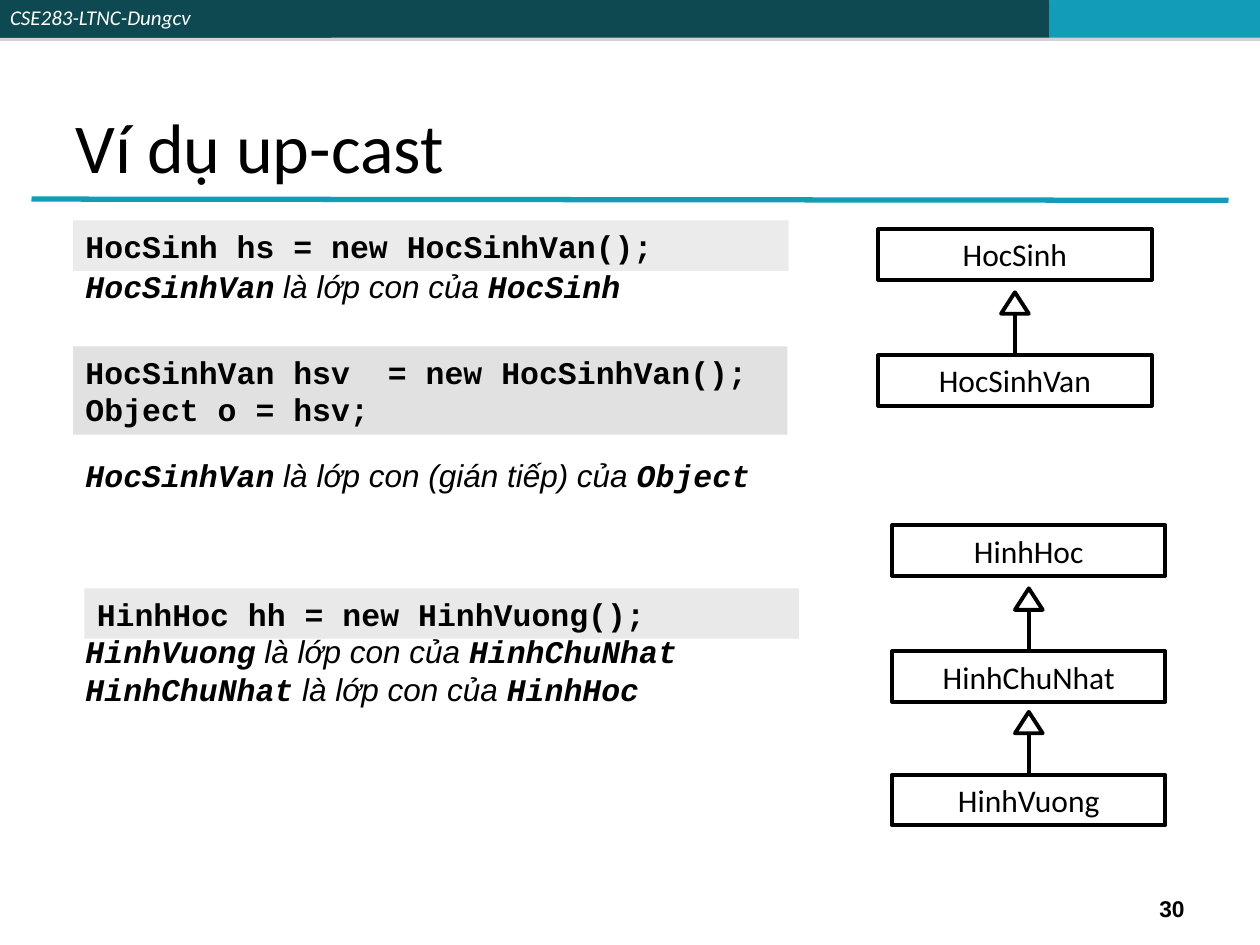
"""Build the up-cast example slide with code samples and class hierarchies."""
from dataclasses import dataclass
from typing import Optional

from lxml.etree import SubElement
from pptx import Presentation
from pptx.dml.color import RGBColor
from pptx.enum.shapes import MSO_CONNECTOR as Connector, MSO_SHAPE as Shape
from pptx.enum.text import MSO_ANCHOR as Anchor, MSO_AUTO_SIZE as AutoSize, PP_ALIGN as Align
from pptx.oxml.ns import qn
from pptx.util import Inches, Pt

BLACK = RGBColor(0x00, 0x00, 0x00)
WHITE = RGBColor(0xFF, 0xFF, 0xFF)
DARK_TEAL = RGBColor(0x0E, 0x48, 0x51)
TEAL = RGBColor(0x13, 0x9C, 0xB7)
GRAY = RGBColor(0xB2, 0xB2, 0xB2)
CODE_FONT, NOTE_FONT, LABEL_FONT = "Courier New", "Arial", "Calibri"
BAR_HEIGHT = 0.3
CLASS_WIDTH, CLASS_HEIGHT = 2.17, 0.4
TIP_WIDTH, TIP_HEIGHT, TIP_RISE = 0.22, 0.17, 0.5


@dataclass(frozen=True)
class Style:
    font: str
    size: float = 18
    color: RGBColor = BLACK
    bold: bool = False
    italic: bool = False


@dataclass(frozen=True)
class CodeBlock:
    left: float
    top: float
    width: float
    height: float
    opacity: int
    lines: tuple[str, ...]


@dataclass(frozen=True)
class Note:
    top: float
    height: float
    sentences: tuple[tuple[str, str, str], ...]


@dataclass(frozen=True)
class Hierarchy:
    left: float
    classes: tuple[tuple[str, float], ...]


CODE = Style(CODE_FONT, bold=True)
CLASS_NAME = Style(CODE_FONT, bold=True, italic=True)
RELATION = Style(NOTE_FONT, italic=True)
CLASS_LABEL = Style(LABEL_FONT)

CODE_BLOCKS = (
    CodeBlock(0.58, 1.75, 5.68, 0.4, 25, ("HocSinh hs = new HocSinhVan();",)),
    CodeBlock(0.58, 2.75, 5.67, 0.7, 38,
              ("HocSinhVan hsv  = new HocSinhVan();", "Object o = hsv;")),
    CodeBlock(0.67, 4.67, 5.67, 0.4, 28, ("HinhHoc hh = new HinhVuong();",)),
)
NOTES = (
    Note(3.57, 0.4, (("HocSinhVan", " là lớp con (gián tiếp) của ", "Object"),)),
    Note(2.07, 0.4, (("HocSinhVan", " là lớp con của ", "HocSinh"),)),
    Note(4.97, 0.7, (("HinhVuong", " là lớp con của ", "HinhChuNhat"),
                     ("HinhChuNhat", " là lớp con của ", "HinhHoc"))),
)
HIERARCHIES = (
    Hierarchy(6.97, (("HocSinh", 1.82), ("HocSinhVan", 2.82))),
    Hierarchy(7.08, (("HinhHoc", 4.17), ("HinhChuNhat", 5.17), ("HinhVuong", 6.15))),
)


def add_run(paragraph, text: str, style: Style) -> None:
    run = paragraph.add_run()
    run.text = text
    font = run.font
    font.name, font.size = style.font, Pt(style.size)
    font.bold, font.italic = style.bold, style.italic
    font.color.rgb = style.color


def add_lines(paragraph, lines: tuple) -> None:
    for index, runs in enumerate(lines):
        if index:
            paragraph.add_line_break()
        for text, style in runs:
            add_run(paragraph, text, style)


def start_text(shape, align: Align = Align.LEFT, anchor: Anchor = Anchor.TOP,
               fit: AutoSize = AutoSize.SHAPE_TO_FIT_TEXT):
    frame = shape.text_frame
    frame.word_wrap, frame.auto_size, frame.vertical_anchor = True, fit, anchor
    paragraph = frame.paragraphs[0]
    paragraph.alignment = align
    return paragraph


def add_block(shapes, kind: Shape, left: float, top: float, width: float, height: float,
              fill: Optional[RGBColor] = None):
    block = shapes.add_shape(kind, Inches(left), Inches(top), Inches(width), Inches(height))
    block.shadow.inherit = False
    if fill is None:
        block.fill.background()
        block.line.color.rgb, block.line.width = BLACK, Pt(2.25)
    else:
        block.fill.solid()
        block.fill.fore_color.rgb = fill
        block.line.fill.background()
    return block


def add_line(shapes, start: tuple[float, float], end: tuple[float, float],
             color: RGBColor, width: float) -> None:
    line = shapes.add_connector(Connector.STRAIGHT, *map(Inches, start + end))
    line.line.color.rgb, line.line.width = color, Pt(width)
    SubElement(line._element.spPr, qn("a:effectLst"))


def add_shadow(block) -> None:
    effects = block._element.spPr.find(qn("a:effectLst"))
    shadow = SubElement(effects, qn("a:outerShdw"), dist=str(Pt(1.8)), dir="5400000")
    color = SubElement(shadow, qn("a:srgbClr"), val="808080")
    SubElement(color, qn("a:alpha"), val="35000")


def add_header(shapes) -> None:
    for left, width, color in ((0, 4.08, DARK_TEAL), (4.08, 4.25, DARK_TEAL), (8.33, 1.67, TEAL)):
        add_shadow(add_block(shapes, Shape.RECTANGLE, left, 0, width, BAR_HEIGHT, color))
    add_line(shapes, (0.25, 1.58), (9.75, 1.59), TEAL, 3)
    course = add_block(shapes, Shape.RECTANGLE, 0, 0, 2.63, BAR_HEIGHT, DARK_TEAL)
    frame = course.text_frame
    frame.margin_left = frame.margin_right = Inches(0.08)
    frame.margin_top = frame.margin_bottom = Inches(0.04)
    add_run(start_text(course, fit=AutoSize.NONE), "CSE283-LTNC-Dungcv",
            Style(LABEL_FONT, 12, WHITE, italic=True))


def add_code(shapes, code: CodeBlock) -> None:
    block = add_block(shapes, Shape.RECTANGLE, code.left, code.top, code.width, code.height, GRAY)
    color = block._element.spPr.find(qn("a:solidFill"))[0]
    SubElement(color, qn("a:alpha"), val=str(code.opacity * 1000))
    add_lines(start_text(block), tuple(((line, CODE),) for line in code.lines))


def add_note(shapes, note: Note) -> None:
    box = shapes.add_textbox(Inches(0.58), Inches(note.top), Inches(5.75), Inches(note.height))
    styles = (CLASS_NAME, RELATION, CLASS_NAME)
    add_lines(start_text(box), tuple(zip(sentence, styles) for sentence in note.sentences))


def add_hierarchy(shapes, hierarchy: Hierarchy) -> None:
    members = shapes.add_group_shape().shapes
    center = hierarchy.left + CLASS_WIDTH / 2
    for level, (name, top) in enumerate(hierarchy.classes):
        box = add_block(members, Shape.RECTANGLE, hierarchy.left, top, CLASS_WIDTH, CLASS_HEIGHT)
        add_run(start_text(box, Align.CENTER), name, CLASS_LABEL)
        if level:
            tip_top = top - TIP_RISE
            add_block(members, Shape.ISOSCELES_TRIANGLE, center - TIP_WIDTH / 2, tip_top,
                      TIP_WIDTH, TIP_HEIGHT)
            add_line(members, (center, tip_top + TIP_HEIGHT), (center, top), BLACK, 2.25)


def main() -> None:
    deck = Presentation()
    deck.slide_width, deck.slide_height = Inches(10), Inches(7.5)
    slide = deck.slides.add_slide(deck.slide_layouts[5])
    shapes = slide.shapes
    add_header(shapes)

    title = shapes.title
    title.left, title.top = Inches(0.5), Inches(0.11)
    title.width, title.height = Inches(8.99), Inches(1.43)
    add_run(start_text(title, anchor=Anchor.BOTTOM, fit=AutoSize.NONE),
            "Ví dụ up-cast", Style(LABEL_FONT, 40))

    page_number = shapes.add_textbox(Inches(7.17), Inches(7.06), Inches(2.33), Inches(0.3))
    add_run(start_text(page_number, Align.RIGHT, Anchor.MIDDLE, AutoSize.NONE),
            "30", Style(NOTE_FONT, 13, bold=True))

    for code in CODE_BLOCKS:
        add_code(shapes, code)
    for note in NOTES:
        add_note(shapes, note)
    for hierarchy in HIERARCHIES:
        add_hierarchy(shapes, hierarchy)
    deck.save("out.pptx")


if __name__ == "__main__":
    main()
